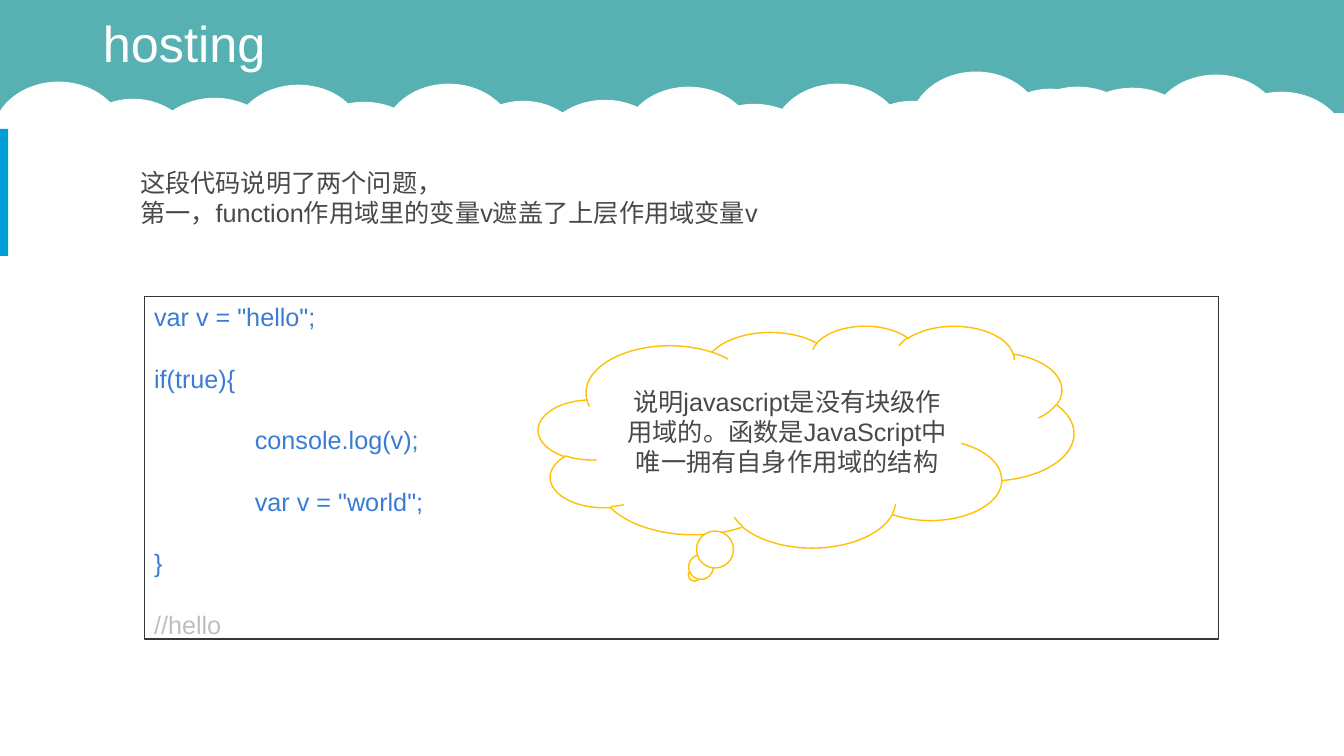
"""Build the slide on variable scope, with a cloud header, a code box and a callout."""
from pptx import Presentation
from pptx.dml.color import RGBColor
from pptx.enum.shapes import MSO_SHAPE
from pptx.enum.text import MSO_ANCHOR, PP_ALIGN
from pptx.util import Inches, Pt

RECT, OVAL, CLOUD = MSO_SHAPE.RECTANGLE, MSO_SHAPE.OVAL, MSO_SHAPE.CLOUD_CALLOUT
TOP, MIDDLE = MSO_ANCHOR.TOP, MSO_ANCHOR.MIDDLE
LEFT, CENTER = PP_ALIGN.LEFT, PP_ALIGN.CENTER
WHITE = RGBColor(0xFF, 0xFF, 0xFF)
TEAL = RGBColor(0x57, 0xB0, 0xB2)
BLUE = RGBColor(0x00, 0x9E, 0xD6)
INK = RGBColor(0x47, 0x49, 0x4B)
EDGE = RGBColor(0x35, 0x37, 0x38)
CODE = RGBColor(0x3A, 0x7C, 0xD4)
GRAY = RGBColor(0xBF, 0xBF, 0xBF)
GOLD = RGBColor(0xFF, 0xC0, 0x00)

deck = Presentation()
deck.slide_width, deck.slide_height = Inches(13.33), Inches(7.5)
slide = deck.slides.add_slide(deck.slide_layouts[5])
title = slide.shapes.title


def draw(kind, box, fill=None, line=None, width=1):
    """Add a preset shape with a plain fill and line."""
    shape = slide.shapes.add_shape(kind, *map(Inches, box))
    shape.shadow.inherit = False
    if fill is None:
        shape.fill.background()
    else:
        shape.fill.solid()
        shape.fill.fore_color.rgb = fill
    if line is None:
        shape.line.fill.background()
    else:
        shape.line.color.rgb = line
        shape.line.width = Pt(width)
    return shape


def write(shape, lines, color, size=18, anchor=TOP, **form):
    """Fill a shape with paragraphs of one format."""
    frame = shape.text_frame
    frame.word_wrap = True
    frame.vertical_anchor = anchor
    frame.text = "\n".join(lines)
    for para in frame.paragraphs:
        for key, value in {"alignment": LEFT, **form}.items():
            setattr(para, key, value)
        for key, value in {"name": "Arial", "size": Pt(size)}.items():
            setattr(para.font, key, value)
        para.font.color.rgb = color
    return frame.paragraphs


draw(RECT, (0, 0, 13.33, 1.12), TEAL)
banks = [(-0.08, 0.81), (3.79, 0.83), (7.65, 0.83), (9.02, 0.71)]
puffs = [(0, 0, 1.11), (0.74, 0.17, 1.21), (1.55, 0.16, 1.11),
         (2.38, 0.03, 1.11), (3.03, 0.2, 1.11)]
for left, top in banks:
    for right, down, tall in puffs:
        draw(OVAL, (left + right, top + down, 1.32, tall), WHITE)

slide.shapes._spTree.append(title._element)
title.left, title.top, title.width, title.height = map(Inches, (0.92, 0.06, 11.5, 0.79))
write(title, ["hosting"], WHITE, 36, MIDDLE, line_spacing=0.9)

draw(RECT, (-0.03, 1.28, 0.11, 1.26), BLUE)
intro = slide.shapes.add_textbox(*map(Inches, (1.29, 1.61, 10.39, 0.7)))
write(intro, ["这段代码说明了两个问题，",
              "第一，function作用域里的变量v遮盖了上层作用域变量v"], INK)

panel = draw(RECT, (1.43, 2.94, 10.66, 3.4), line=EDGE, width=0.75)
code = ['var v = "hello";', "if(true){", "console.log(v);",
        'var v = "world";', "}", "//hello"]
rows = write(panel, code, CODE, space_before=Pt(22.4))
rows[0].space_before = Pt(0)
for row in rows[2:4]:
    row._p.get_or_add_pPr().set("marL", str(Inches(1)))
rows[-1].font.color.rgb = GRAY

cloud = draw(CLOUD, (5.34, 3.23, 5.31, 2.2), WHITE, GOLD)
write(cloud, ["说明javascript是没有块级作用域的。函数是JavaScript中唯一拥有自身作用域的结构"],
      INK, anchor=MIDDLE, alignment=CENTER)

deck.save("out.pptx")
